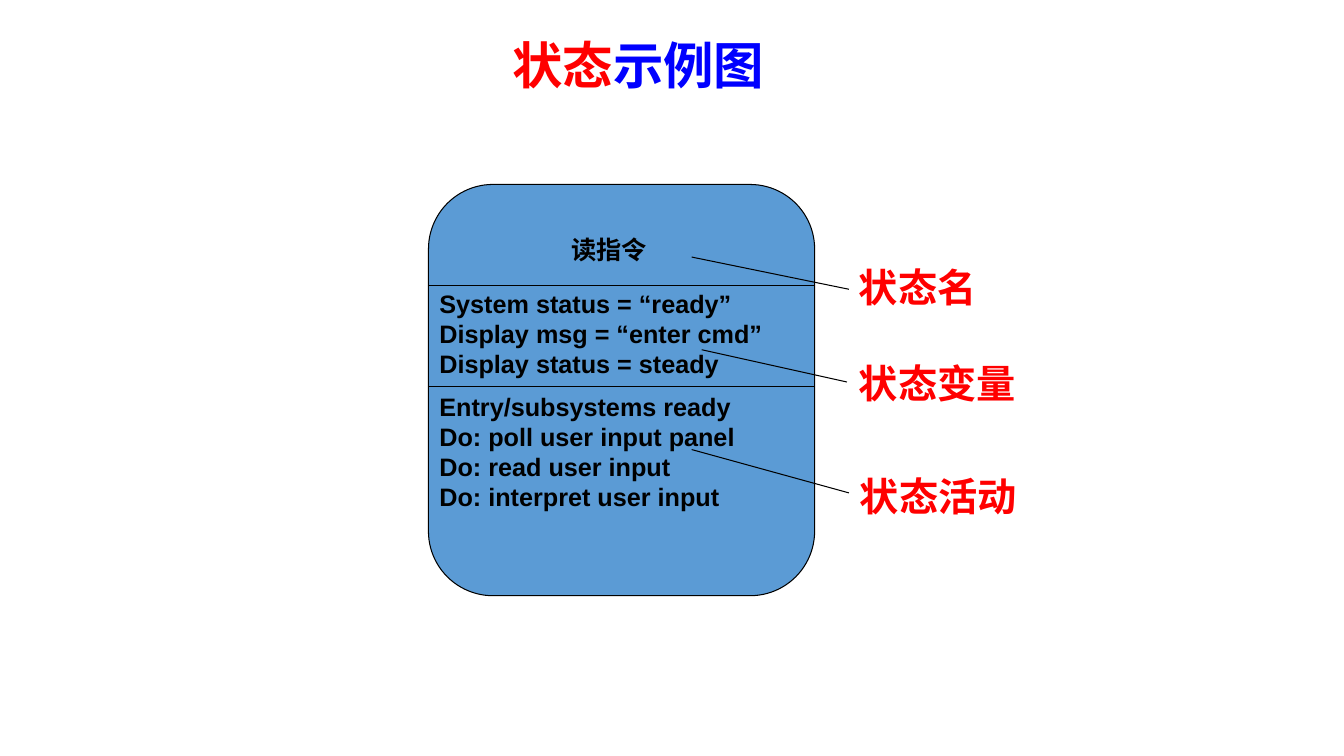
from pptx import Presentation
from pptx.dml.color import RGBColor
from pptx.enum.shapes import MSO_CONNECTOR as CONN, MSO_SHAPE as SHAPE
from pptx.enum.text import MSO_ANCHOR as ANCHOR, MSO_AUTO_SIZE as AUTO, PP_ALIGN as ALIGN
from pptx.oxml.ns import qn
from pptx.util import Inches, Pt

BLACK, RED, BLUE, FILL = "000000", "FF0000", "0000FF", "5B9BD5"


def color(value):
    return RGBColor.from_string(value)


def add_run(p, text, size, rgb, font="Arial"):
    r = p.add_run()
    r.text = text
    for name, value in {"name": font, "size": Pt(size), "bold": True}.items():
        setattr(r.font, name, value)
    r.font.color.rgb = color(rgb)


def add_text(s, box, lines, size=18, rgb=BLACK, align=ALIGN.LEFT):
    tf = s.shapes.add_textbox(*map(Inches, box)).text_frame
    tf.word_wrap = True
    tf.auto_size = AUTO.SHAPE_TO_FIT_TEXT
    for i, line in enumerate(lines):
        p = tf.add_paragraph() if i else tf.paragraphs[0]
        p.alignment = align
        add_run(p, line, size, rgb)


def add_line(s, x1, y1, x2, y2):
    line = s.shapes.add_connector(CONN.STRAIGHT, *map(Inches, (x1, y1, x2, y2)))
    line.line.color.rgb = color(BLACK)
    line.line.width = Pt(0.75)
    sp_pr = line._element.spPr
    sp_pr.append(sp_pr.makeelement(qn("a:effectLst"), {}))


def add_title(s, left, top, width, height):
    title = s.shapes.title
    box = {"left": left, "top": top, "width": width, "height": height}
    for name, value in box.items():
        setattr(title, name, Inches(value))
    tf = title.text_frame
    frame = {"auto_size": AUTO.NONE, "vertical_anchor": ANCHOR.BOTTOM, "word_wrap": True}
    for name, value in frame.items():
        setattr(tf, name, value)
    p = tf.paragraphs[0]
    p.alignment = ALIGN.CENTER
    p.line_spacing = 0.9
    for text, rgb in (("状态", RED), ("示例图", BLUE)):
        add_run(p, text, 36, rgb, "Calibri")


def add_state(s, left, top, width, height):
    sp = s.shapes.add_shape(SHAPE.ROUNDED_RECTANGLE, *map(Inches, (left, top, width, height)))
    sp.adjustments[0] = 0.167
    sp.shadow.inherit = False
    sp.fill.solid()
    sp.fill.fore_color.rgb = color(FILL)
    sp.line.color.rgb = color(BLACK)
    sp.line.width = Pt(0.75)
    for divider in (1, 2):
        add_line(s, left, top + divider, left + width, top + divider)
    add_text(s, (left + 0.83, top + 0.45, 1.92, 0.4), ["读指令"], align=ALIGN.CENTER)
    variables = ["System status = “ready”", "Display msg = “enter cmd”", "Display status = steady"]
    activities = ["Entry/subsystems ready", "Do: poll user input panel",
                  "Do: read user input", "Do: interpret user input"]
    add_text(s, (left + 0.01, top + 0.98, 3.71, 1.01), variables)
    add_text(s, (left + 0.01, top + 2, 3.71, 1.61), activities)


def add_callouts(s, left, top):
    callouts = [
        ("状态名", 0, 0, 1.48, (0, 0.31), (-1.56, -0.01)),
        ("状态变量", 0, 0.96, 1.88, (-0.02, 1.23), (-1.46, 0.91)),
        ("状态活动", 0.01, 2.08, 1.89, (0, 2.33), (-1.56, 1.9)),
    ]
    for text, dx, dy, width, start, end in callouts:
        add_text(s, (left + dx, top + dy, width, 0.57), [text], 28, RED)
        add_line(s, left + start[0], top + start[1], left + end[0], top + end[1])


def main():
    prs = Presentation()
    prs.slide_width, prs.slide_height = Inches(13.33), Inches(7.5)
    s = prs.slides.add_slide(prs.slide_layouts[5])
    add_title(s, 3.88, 0.25, 4.9, 0.75)
    add_state(s, 4.25, 1.83, 3.83, 4.08)
    add_callouts(s, 8.42, 2.56)
    prs.save("out.pptx")


if __name__ == "__main__":
    main()
